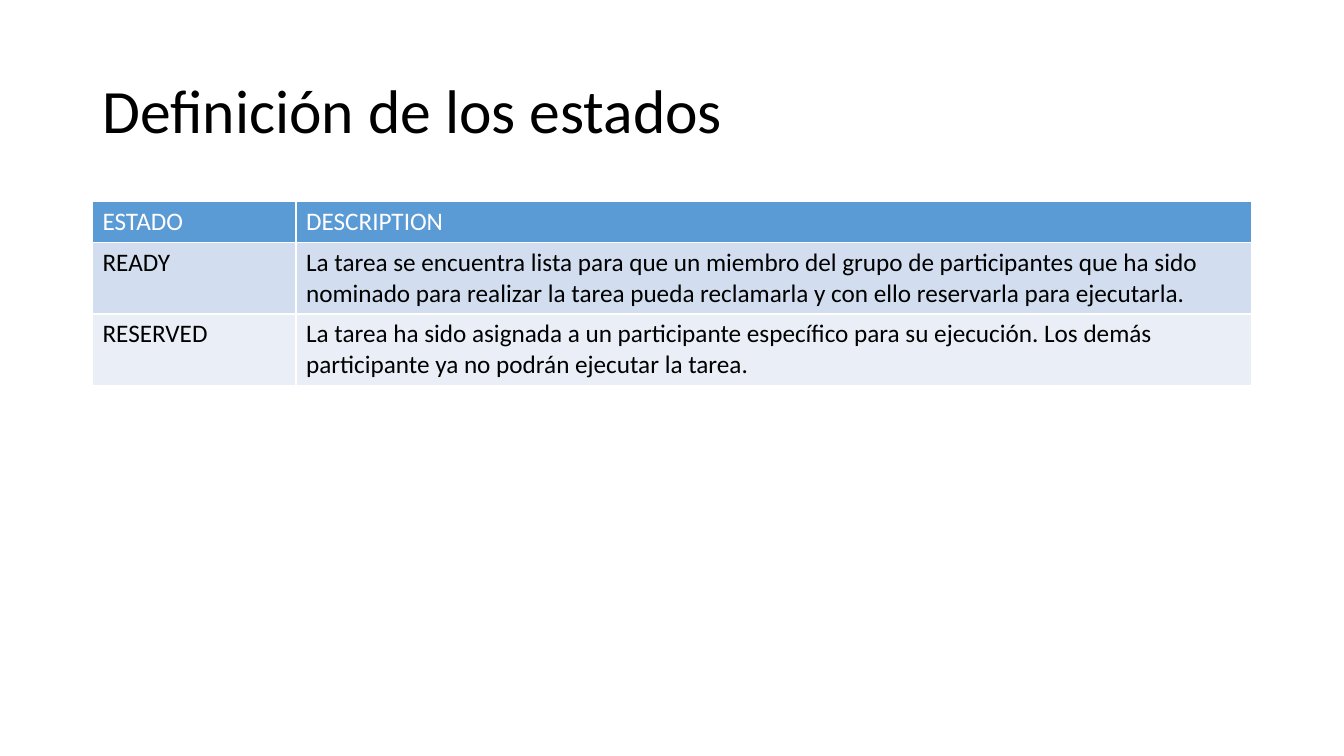
from pptx import Presentation
from pptx.dml.color import RGBColor
from pptx.enum.text import MSO_ANCHOR
from pptx.oxml import parse_xml
from pptx.oxml.ns import nsdecls
from pptx.util import Cm, Pt

# Content
TITLE = "Definición de los estados"
STATES = [
    ("ESTADO", "DESCRIPTION"),
    ("READY",
     "La tarea se encuentra lista para que un miembro del grupo de participantes "
     "que ha sido nominado para realizar la tarea pueda reclamarla y con ello "
     "reservarla para ejecutarla."),
    ("RESERVED",
     "La tarea ha sido asignada a un participante específico para su ejecución. "
     "Los demás participante ya no podrán ejecutar la tarea."),
]

# Theme
THEME = {
    "font": "Calibri",
    "title_size": 44,
    "table_size": 18,
    "text": "000000",
    "header_text": "FFFFFF",
    "header_fill": "5B9BD5",
    "band_fills": ("D2DEEF", "EAEFF7"),
    "border": "FFFFFF",
    "border_width": 1,
}

# Layout
LEFT, WIDTH = Cm(2.33), Cm(29.21)
TITLE_TOP, TITLE_HEIGHT = Cm(1.02), Cm(3.68)
TABLE_TOP = Cm(5.08)
STATE_WIDTH = Cm(5.13)
HEADER_HEIGHT, STATE_HEIGHT = Cm(1.03), Cm(1.8)


def format_text(paragraph, size, color):
    for run in paragraph.runs:
        run.font.name = THEME["font"]
        run.font.size = Pt(size)
        run.font.bold = False
        run.font.color.rgb = RGBColor.from_string(color)


def add_borders(cell):
    properties = cell._tc.get_or_add_tcPr()
    for side in ("lnL", "lnR", "lnT", "lnB"):
        properties.append(parse_xml(
            f'<a:{side} {nsdecls("a")} w="{Pt(THEME["border_width"])}">'
            f'<a:solidFill><a:srgbClr val="{THEME["border"]}"/></a:solidFill>'
            f'</a:{side}>'))


def format_cell(cell, text, fill, color):
    cell.text_frame.text = text
    format_text(cell.text_frame.paragraphs[0], THEME["table_size"], color)
    add_borders(cell)
    cell.fill.solid()
    cell.fill.fore_color.rgb = RGBColor.from_string(fill)


presentation = Presentation()
presentation.slide_width, presentation.slide_height = Cm(33.87), Cm(19.05)
slide = presentation.slides.add_slide(presentation.slide_layouts[6])

# Title
title = slide.shapes.add_textbox(LEFT, TITLE_TOP, WIDTH, TITLE_HEIGHT)
text_frame = title.text_frame
text_frame.word_wrap = True
text_frame.vertical_anchor = MSO_ANCHOR.MIDDLE
text_frame.text = TITLE
text_frame.paragraphs[0].line_spacing = 0.9
format_text(text_frame.paragraphs[0], THEME["title_size"], THEME["text"])

# Table of states
heights = [HEADER_HEIGHT] + [STATE_HEIGHT] * (len(STATES) - 1)
table = slide.shapes.add_table(
    len(STATES), len(STATES[0]), LEFT, TABLE_TOP, WIDTH, sum(heights)).table
table.columns[0].width = STATE_WIDTH
table.columns[1].width = WIDTH - STATE_WIDTH

for row_index, (texts, height) in enumerate(zip(STATES, heights)):
    table.rows[row_index].height = height
    if row_index == 0:
        fill, color = THEME["header_fill"], THEME["header_text"]
    else:
        fill, color = THEME["band_fills"][(row_index - 1) % 2], THEME["text"]
    for column_index, text in enumerate(texts):
        format_cell(table.cell(row_index, column_index), text, fill, color)

presentation.save("out.pptx")
